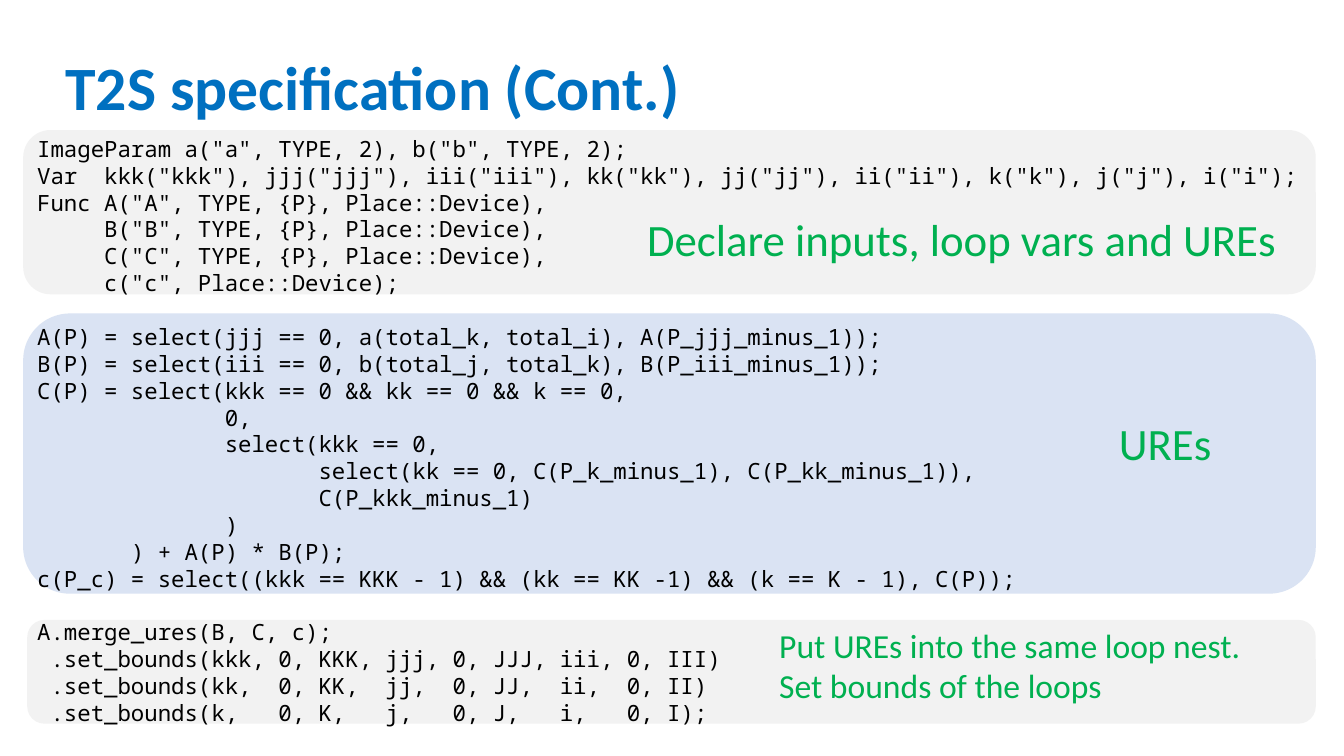
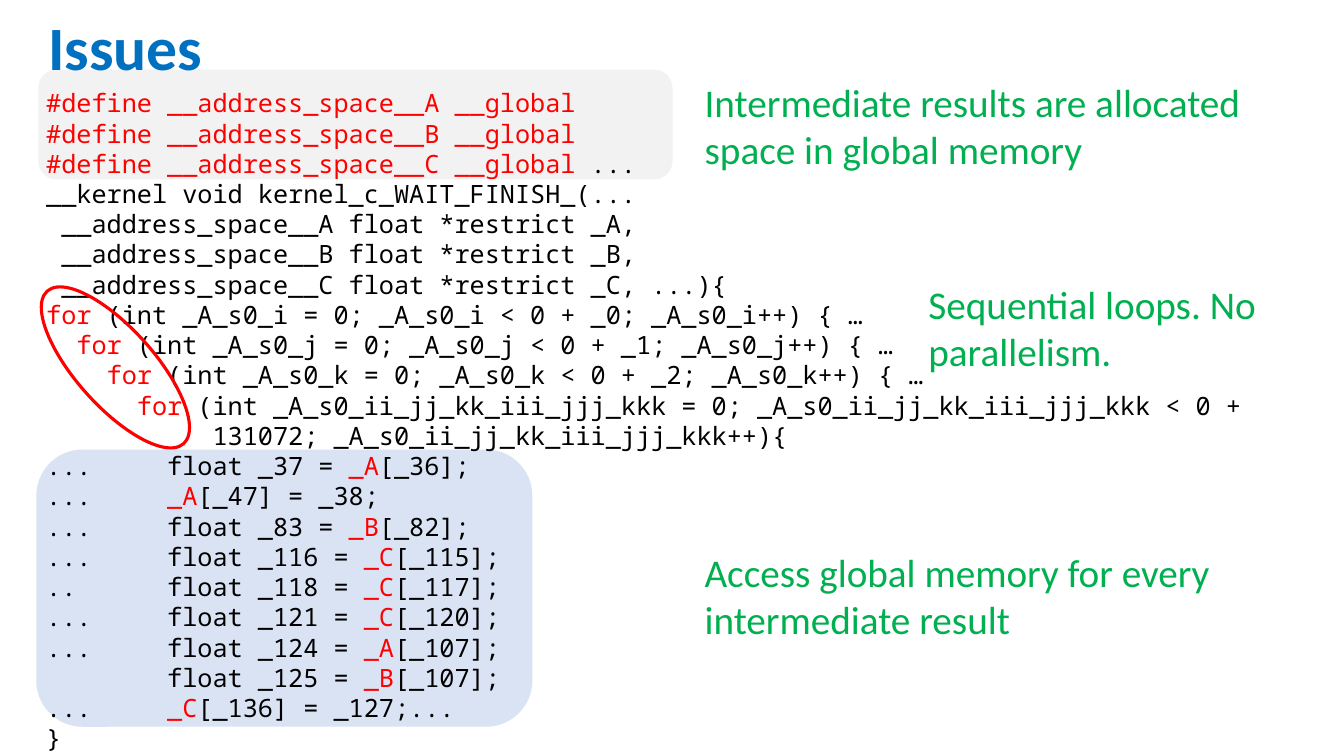
"""Build two slides on a T2S design: its code in tinted bands, with green notes."""
from dataclasses import dataclass

from pptx import Presentation
from pptx.dml.color import RGBColor
from pptx.enum.shapes import MSO_SHAPE
from pptx.enum.text import MSO_ANCHOR
from pptx.slide import Slide
from pptx.text.text import TextFrame
from pptx.util import Inches, Pt

GREY, PALE = "F2F2F2", "DAE3F3"
BLUE, GREEN, RED, BLACK = "0070C0", "00B050", "FF0000", "000000"
SANS, MONO = "Calibri", "Noto Sans Mono"
MARK = "|"
LINE = 1.2


@dataclass(frozen=True)
class Box:
    left: float
    top: float
    width: float
    height: float

    def spans(self) -> list[int]:
        return [Inches(n) for n in (self.left, self.top, self.width, self.height)]


@dataclass(frozen=True)
class Band:
    box: Box
    fill: str


@dataclass(frozen=True)
class Note:
    box: Box
    text: str
    size: int


@dataclass(frozen=True)
class Code:
    box: Box
    blocks: list[str]
    size: int


@dataclass(frozen=True)
class Page:
    title: str
    place: Box
    bands: list[Band]
    code: Code
    notes: list[Note]


def paint(text: str) -> RGBColor:
    return RGBColor.from_string(text)


def add_frame(slide: Slide, box: Box) -> TextFrame:
    frame = slide.shapes.add_textbox(*box.spans()).text_frame
    frame.word_wrap = True
    return frame


def add_run(para, text: str, face: str, size: int, tint: str, bold: bool = False) -> None:
    run = para.add_run()
    run.text = text
    run.font.name = face
    run.font.size = Pt(size)
    run.font.bold = bold
    run.font.color.rgb = paint(tint)


def next_para(frame: TextFrame, index: int):
    return frame.add_paragraph() if index else frame.paragraphs[0]


def draw_title(slide: Slide, text: str, box: Box) -> None:
    frame = add_frame(slide, box)
    frame.vertical_anchor = MSO_ANCHOR.MIDDLE
    para = frame.paragraphs[0]
    para.line_spacing = 0.9
    add_run(para, text, SANS, 44, BLUE, True)


def draw_band(slide: Slide, band: Band) -> None:
    shape = slide.shapes.add_shape(MSO_SHAPE.ROUNDED_RECTANGLE, *band.box.spans())
    shape.shadow.inherit = False
    shape.fill.solid()
    shape.fill.fore_color.rgb = paint(band.fill)
    shape.line.fill.background()


def draw_note(slide: Slide, note: Note) -> None:
    frame = add_frame(slide, note.box)
    for index, line in enumerate(note.text.splitlines()):
        add_run(next_para(frame, index), line, SANS, note.size, GREEN)


def draw_code(slide: Slide, code: Code) -> None:
    frame = add_frame(slide, code.box)
    index = 0
    for block in code.blocks:
        for row, line in enumerate(block.splitlines()):
            para = next_para(frame, index)
            if index and row == 0:
                para.space_before = Pt(code.size * LINE)
            for turn, part in enumerate(line.split(MARK)):
                if part:
                    add_run(para, part, MONO, code.size, RED if turn % 2 else BLACK)
            index += 1


def draw_ring(slide: Slide, box: Box, angle: float) -> None:
    ring = slide.shapes.add_shape(MSO_SHAPE.OVAL, *box.spans())
    ring.shadow.inherit = False
    ring.rotation = angle
    ring.fill.background()
    ring.line.color.rgb = paint(RED)
    ring.line.width = Pt(2.25)


def draw_page(deck, page: Page) -> Slide:
    slide = deck.slides.add_slide(deck.slide_layouts[6])
    for band in page.bands:
        draw_band(slide, band)
    draw_title(slide, page.title, page.place)
    draw_code(slide, page.code)
    for note in page.notes:
        draw_note(slide, note)
    return slide


INPUTS = """\
ImageParam a("a", TYPE, 2), b("b", TYPE, 2);
Var  kkk("kkk"), jjj("jjj"), iii("iii"), kk("kk"), jj("jj"), ii("ii"), k("k"), j("j"), i("i");
Func A("A", TYPE, {P}, Place::Device),
     B("B", TYPE, {P}, Place::Device),
     C("C", TYPE, {P}, Place::Device),
     c("c", Place::Device);
"""

URES = """\
A(P) = select(jjj == 0, a(total_k, total_i), A(P_jjj_minus_1));
B(P) = select(iii == 0, b(total_j, total_k), B(P_iii_minus_1));
C(P) = select(kkk == 0 && kk == 0 && k == 0,
              0,
              select(kkk == 0,
                     select(kk == 0, C(P_k_minus_1), C(P_kk_minus_1)),
                     C(P_kkk_minus_1)
              )
       ) + A(P) * B(P);
c(P_c) = select((kkk == KKK - 1) && (kk == KK -1) && (k == K - 1), C(P));
"""

BOUNDS = """\
A.merge_ures(B, C, c);
 .set_bounds(kkk, 0, KKK, jjj, 0, JJJ, iii, 0, III)
 .set_bounds(kk,  0, KK,  jj,  0, JJ,  ii,  0, II)
 .set_bounds(k,   0, K,   j,   0, J,   i,   0, I);
"""

HEADER = """\
|#define __address_space__A __global|
|#define __address_space__B __global|
|#define __address_space__C __global |...
__kernel void kernel_c_WAIT_FINISH_(...
 __address_space__A float *restrict _A,
 __address_space__B float *restrict _B,
 __address_space__C float *restrict _C, ...){
"""

LOOPS = """\
|for| (int _A_s0_i = 0; _A_s0_i < 0 + _0; _A_s0_i++) { …
  |for| (int _A_s0_j = 0; _A_s0_j < 0 + _1; _A_s0_j++) { …
    |for| (int _A_s0_k = 0; _A_s0_k < 0 + _2; _A_s0_k++) { …
      |for| (int _A_s0_ii_jj_kk_iii_jjj_kkk = 0; _A_s0_ii_jj_kk_iii_jjj_kkk < 0 +
           131072; _A_s0_ii_jj_kk_iii_jjj_kkk++){
"""

ACCESS = """\
...     float _37 = |_A|[_36];
...     |_A|[_47] = _38;
...     float _83 = |_B|[_82];
...     float _116 = |_C|[_115];
..      float _118 = |_C|[_117];
...     float _121 = |_C|[_120];
...     float _124 = |_A|[_107];
        float _125 = |_B|[_107];
...     |_C|[_136] = _127;...
}
"""

DESIGN = Page(
    "T2S specification (Cont.)",
    Box(0.55, 0.17, 11.5, 1.45),
    [
        Band(Box(0.23, 1.29, 12.82, 1.63), GREY),
        Band(Box(0.23, 3.11, 12.82, 2.78), PALE),
        Band(Box(0.27, 6.15, 12.78, 1.03), GREY),
    ],
    Code(Box(0.27, 1.29, 12.82, 6.02), [INPUTS, URES, BOUNDS], 16),
    [
        Note(Box(11, 4.08, 1.36, 0.64), "UREs", 32),
        Note(Box(7.63, 6.15, 5.15, 0.91),
             "Put UREs into the same loop nest.\nSet bounds of the loops", 24),
        Note(Box(6.32, 2.05, 7.55, 0.64), "Declare inputs, loop vars and UREs", 32),
    ],
)

ISSUES = Page(
    "Issues",
    Box(0.38, -0.22, 6.71, 1.45),
    [
        Band(Box(0.36, 4.46, 4.92, 2.75), PALE),
        Band(Box(0.38, 0.69, 6.29, 1.09), GREY),
    ],
    Code(Box(0.36, 0.82, 13.08, 7.07), [HEADER + LOOPS + ACCESS], 18),
    [
        Note(Box(6.89, 5.39, 7.07, 1.04),
             "Access global memory for every intermediate result", 28),
        Note(Box(6.89, 0.73, 6.31, 1.04),
             "Intermediate results are allocated space in global memory", 28),
        Note(Box(9.11, 2.73, 3.92, 1.04), "Sequential loops. No parallelism.", 28),
    ],
)


def main() -> None:
    deck = Presentation()
    deck.slide_width, deck.slide_height = Inches(13.33), Inches(7.5)
    draw_page(deck, DESIGN)
    draw_ring(draw_page(deck, ISSUES), Box(0.76, 2.63, 0.77, 2.03), 318.2)
    deck.save("out.pptx")


main()
